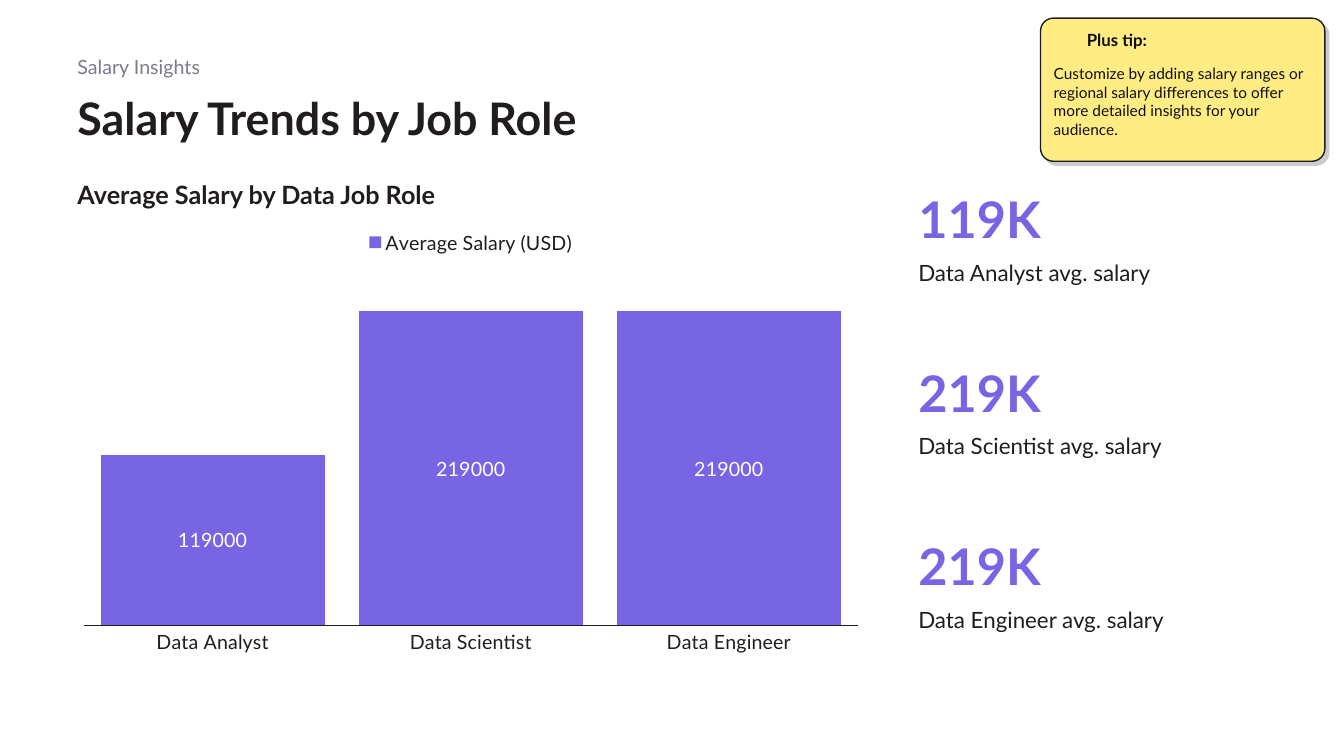
from dataclasses import dataclass

from lxml import etree
from pptx import Presentation
from pptx.chart.data import CategoryChartData
from pptx.dml.color import RGBColor
from pptx.enum.chart import (XL_CHART_TYPE, XL_LABEL_POSITION, XL_LEGEND_POSITION,
                             XL_TICK_LABEL_POSITION, XL_TICK_MARK)
from pptx.enum.shapes import MSO_SHAPE
from pptx.enum.text import MSO_ANCHOR as Anchor
from pptx.oxml.ns import qn
from pptx.slide import Slide
from pptx.util import Inches, Pt

FONT = "Lato"
COLORS = {"ink": "201C20", "muted": "7D7991", "accent": "7765E3",
          "tip": "FFEC82", "tip_text": "100F19", "white": "FFFFFF", "shadow": "000000"}


@dataclass
class Label:
    text: str
    left: float
    top: float
    width: float
    height: float
    size: int
    color: str = "ink"
    bold: bool = False
    anchor: Anchor = Anchor.TOP
    line_spacing: float = 1.0
    side_inset: float = 0.1


@dataclass
class Role:
    name: str
    salary: int


ROLES = [Role("Data Analyst", 119000), Role("Data Scientist", 219000),
         Role("Data Engineer", 219000)]

LABELS = [
    Label("Salary Insights", 0.67, 0.5, 6, 0.45, 14, "muted"),
    Label("Salary Trends by Job Role", 0.67, 0.77, 12, 0.87, 32, bold=True,
          anchor=Anchor.MIDDLE, line_spacing=0.9),
    Label("Average Salary by Data Job Role", 0.67, 1.65, 8, 0.48, 18, bold=True,
          anchor=Anchor.BOTTOM, line_spacing=1.2),
]

TIP_LABELS = [
    Label("Plus tip:", 10.78, 0.25, 1.2, 0.3, 12, "tip_text", True, side_inset=0),
    Label("Customize by adding salary ranges or regional salary differences to offer "
          "more detailed insights for your audience.",
          10.45, 0.59, 2.57, 0.9, 11, "tip_text", side_inset=0),
]

STAT_LEFT, STAT_TOP, STAT_STEP = 9.01, 1.65, 1.72


def rgb(name: str) -> RGBColor:
    return RGBColor.from_string(COLORS[name])


def style_font(font, size: int, color: str, bold: bool = False) -> None:
    font.name = FONT
    font.size = Pt(size)
    font.bold = bold
    font.color.rgb = rgb(color)


def add_label(slide: Slide, label: Label) -> None:
    shape = slide.shapes.add_textbox(Inches(label.left), Inches(label.top),
                                     Inches(label.width), Inches(label.height))
    text_frame = shape.text_frame
    text_frame.word_wrap = True
    text_frame.vertical_anchor = label.anchor
    text_frame.margin_left = text_frame.margin_right = Inches(label.side_inset)
    text_frame.text = label.text
    paragraph = text_frame.paragraphs[0]
    paragraph.line_spacing = label.line_spacing
    style_font(paragraph.runs[0].font, label.size, label.color, label.bold)


def add_salary_chart(slide: Slide) -> None:
    data = CategoryChartData()
    data.categories = [role.name for role in ROLES]
    data.add_series("Average Salary (USD)", [role.salary for role in ROLES])
    chart = slide.shapes.add_chart(XL_CHART_TYPE.COLUMN_STACKED, Inches(0.67), Inches(2.17),
                                   Inches(8), Inches(4.4), data).chart
    style_font(chart.font, 14, "ink")
    chart.has_title = False
    chart.has_legend = True
    chart.legend.position = XL_LEGEND_POSITION.TOP
    chart.legend.include_in_layout = False
    style_font(chart.legend.font, 14, "ink")

    # Axes
    category_axis, value_axis = chart.category_axis, chart.value_axis
    for axis in (category_axis, value_axis):
        axis.has_major_gridlines = False
        axis.major_tick_mark = axis.minor_tick_mark = XL_TICK_MARK.NONE
        style_font(axis.tick_labels.font, 14, "ink")
    category_axis.format.line.color.rgb = rgb("ink")
    category_axis.format.line.width = Pt(0.75)
    value_axis.minimum_scale = 0
    value_axis.tick_label_position = XL_TICK_LABEL_POSITION.NONE
    value_axis.format.line.fill.background()

    # Columns and their values
    plot = chart.plots[0]
    plot.gap_width = 15
    plot.overlap = 100
    plot.vary_by_categories = False
    series = plot.series[0]
    series.format.fill.solid()
    series.format.fill.fore_color.rgb = rgb("accent")
    data_labels = series.data_labels
    data_labels.show_value = True
    data_labels.position = XL_LABEL_POSITION.CENTER
    style_font(data_labels.font, 14, "white")


def add_stat(slide: Slide, role: Role, top: float) -> None:
    add_label(slide, Label(f"{role.salary // 1000}K", STAT_LEFT, top, 3.67, 0.87, 36,
                           "accent", True, Anchor.BOTTOM, 0.85))
    add_label(slide, Label(f"{role.name} avg. salary", STAT_LEFT, top + 0.87, 3.67, 0.7, 16))


def add_tip_card(slide: Slide) -> None:
    card = slide.shapes.add_shape(MSO_SHAPE.ROUNDED_RECTANGLE, Inches(10.32), Inches(0.18),
                                  Inches(2.82), Inches(1.42))
    card.adjustments[0] = 0.09
    card.fill.solid()
    card.fill.fore_color.rgb = rgb("tip")
    card.line.color.rgb = rgb("ink")
    card.line.width = Pt(1)

    # Hard offset shadow
    card.shadow.inherit = False
    effects = card.element.spPr.find(qn("a:effectLst"))
    shadow = etree.SubElement(effects, qn("a:outerShdw"), blurRad="0", dist=str(Pt(4)),
                              dir=str(45 * 60000), algn="tl", rotWithShape="0")
    shadow_color = etree.SubElement(shadow, qn("a:srgbClr"), val=COLORS["shadow"])
    etree.SubElement(shadow_color, qn("a:alpha"), val="20000")

    for label in TIP_LABELS:
        add_label(slide, label)


def main() -> None:
    presentation = Presentation()
    presentation.slide_width = Inches(13.33)
    presentation.slide_height = Inches(7.5)
    slide = presentation.slides.add_slide(presentation.slide_layouts[6])

    # Headings and chart
    for label in LABELS:
        add_label(slide, label)
    add_salary_chart(slide)

    # Key figures
    for index, role in enumerate(ROLES):
        add_stat(slide, role, STAT_TOP + index * STAT_STEP)

    add_tip_card(slide)
    presentation.save("out.pptx")


if __name__ == "__main__":
    main()
